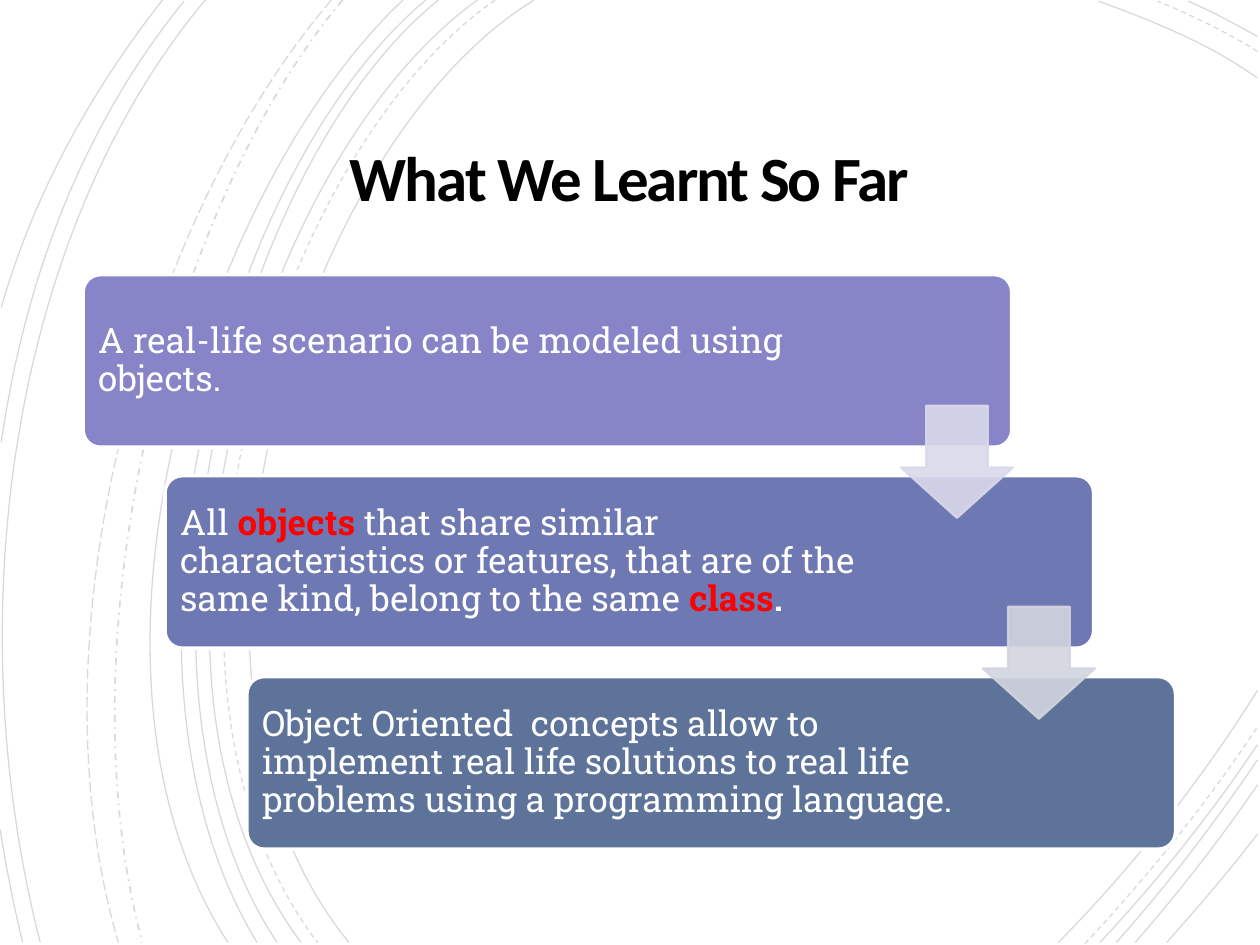
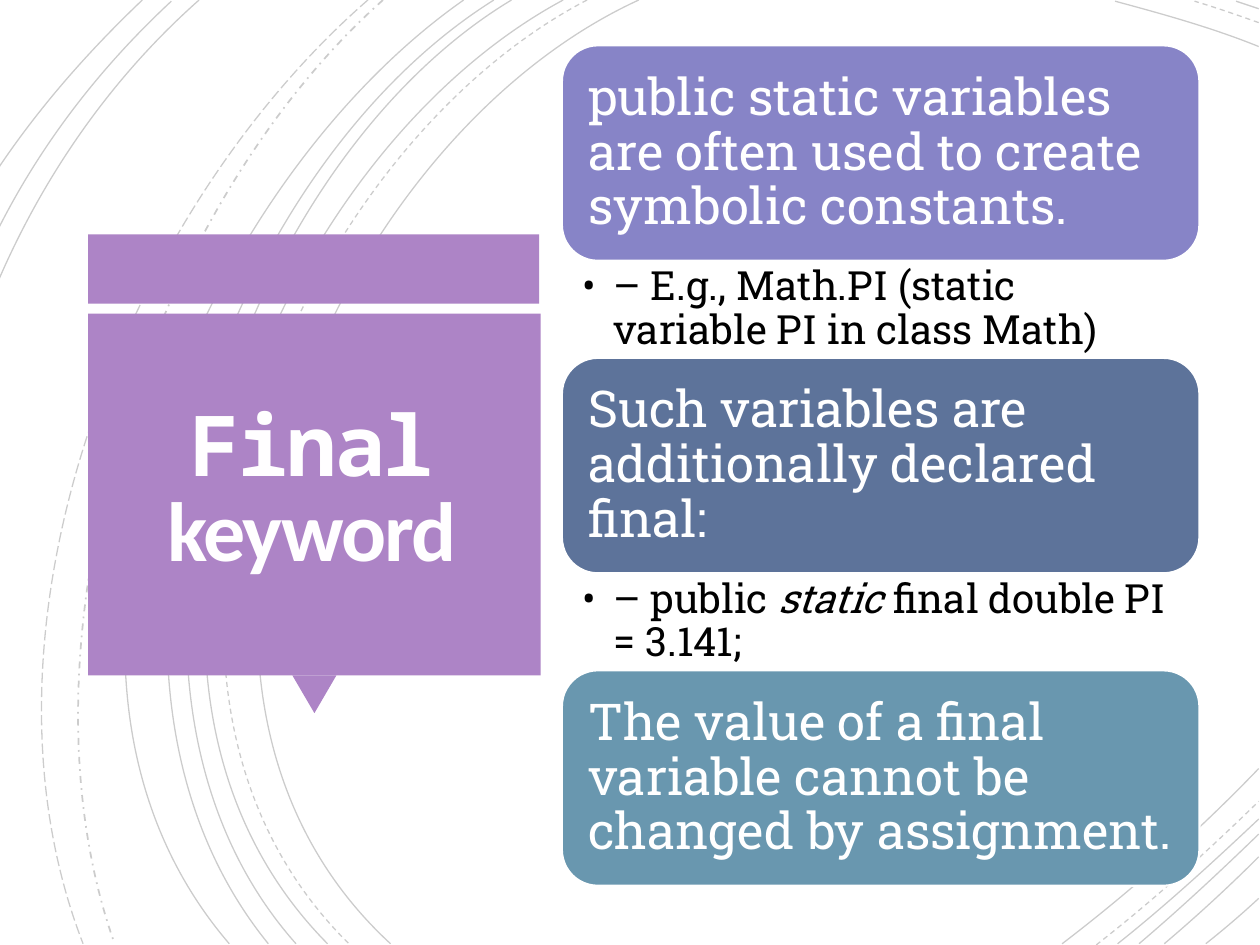
from pptx import Presentation
from pptx.dml.color import RGBColor
from pptx.enum.dml import MSO_LINE
from pptx.enum.shapes import MSO_SHAPE
from pptx.enum.text import MSO_ANCHOR, PP_ALIGN
from pptx.oxml.ns import qn
from pptx.util import Cm, Pt
from lxml.etree import SubElement

SLIDE_WIDTH, SLIDE_HEIGHT = 10, 7.5
WHITE, BLACK, RED = "FFFFFF", "000000", "FF0000"
VIOLET, INDIGO, SLATE, TEAL, PURPLE = "8784C7", "6E79B3", "5D739A", "6997AF", "AD84C6"
HEADING_FONT, BODY_FONT, CODE_FONT = "Calibri", "Roboto Slab", "Noto Sans Mono"
HEADING = dict(font=HEADING_FONT, bold=True, tracking=-1.1, spacing=0.85,
               align=PP_ALIGN.CENTER, anchor=MSO_ANCHOR.MIDDLE, insets=(0.25,) * 4)

SOLID, DASH = MSO_LINE.SOLID, MSO_LINE.DASH
DASH_DOT, LONG_DASH = MSO_LINE.DASH_DOT, MSO_LINE.LONG_DASH

BACKGROUND_ARCS = {
    (SOLID, 0.75): [
        (5.07, 0, 2.56, 1.15, 0.83, 5.4, 3.1, 7.49),
        (9.99, 0.37, 9.62, 0.22, 9.22, 0.11, 8.85, 0.01),
        (8.43, 7.49, 8.98, 7.07, 9.51, 6.6, 9.99, 6.1),
        (4.47, 0, 2.11, 1.27, 0.5, 5.37, 2.6, 7.49),
        (9.99, 0.07, 9.93, 0.05, 9.87, 0.03, 9.81, 0.01),
        (8.87, 7.49, 9.26, 7.18, 9.63, 6.84, 9.99, 6.5),
        (4.06, 0, 1.85, 1.33, 0.5, 5.41, 2.35, 7.49),
        (9.04, 7.49, 9.37, 7.21, 9.68, 6.92, 9.99, 6.62),
        (3.92, 0, 1.72, 1.38, 0.38, 5.34, 2.13, 7.49),
        (9.24, 7.49, 9.5, 7.27, 9.75, 7.04, 9.99, 6.8),
        (3.68, 0, 1.58, 1.47, -0.07, 5.29, 1.82, 7.49),
        (9.57, 7.49, 9.71, 7.38, 9.85, 7.26, 9.99, 7.13),
        (1.58, 0, 0.88, 0.62, 0.35, 1.39, -0.01, 2.22),
        (1.36, 0.01, 0.79, 0.54, 0.33, 1.14, -0.01, 1.81),
        (1.13, 0, 0.71, 0.4, 0.32, 0.84, -0.01, 1.33),
    ],
    (DASH, 0.75): [
        (4.66, 0, 2.26, 1.25, 0.63, 5.38, 2.77, 7.49),
        (9.99, 0.18, 9.82, 0.12, 9.65, 0.06, 9.48, 0.01),
        (8.7, 7.5, 9.15, 7.15, 9.58, 6.76, 9.99, 6.36),
    ],
    (DASH_DOT, 1): [(3.04, 0, 1.17, 1.66, 0.06, 5.09, 0.91, 7.49)],
    (LONG_DASH, 0.75): [(2.92, 0, 0.98, 1.69, -0.31, 4.99, 0.66, 7.49)],
}

SUMMARY_ARCS = {
    (SOLID, 0.75): [
        (4.24, 0, 2.36, 1.15, 1.07, 5.4, 2.77, 7.48),
        (9.98, 0.62, 9.59, 0.34, 9.13, 0.16, 8.72, 0.01),
        (8.4, 7.48, 8.97, 6.9, 9.52, 6.22, 9.98, 5.48),
        (3.79, 0, 2.02, 1.27, 0.82, 5.37, 2.39, 7.48),
        (9.98, 0.29, 9.8, 0.19, 9.62, 0.09, 9.43, 0.01),
        (8.73, 7.48, 9.17, 7.01, 9.6, 6.48, 9.98, 5.91),
        (3.48, 0, 1.83, 1.33, 0.82, 5.41, 2.2, 7.48),
        (8.86, 7.48, 9.25, 7.04, 9.63, 6.55, 9.98, 6.03),
        (3.38, 0, 1.73, 1.38, 0.73, 5.33, 2.04, 7.48),
        (9.01, 7.48, 9.35, 7.09, 9.68, 6.67, 9.98, 6.23),
        (3.2, 0, 1.63, 1.47, 0.4, 5.29, 1.81, 7.48),
        (9.26, 7.48, 9.5, 7.21, 9.75, 6.92, 9.98, 6.62),
        (1.63, 0, 0.08, 1.85, -0.34, 4.9, 0.32, 7.48),
        (1.46, 0.01, 0.69, 0.96, 0.21, 2.14, 0.01, 3.51),
        (0, 6.58, 0.05, 6.89, 0.11, 7.19, 0.18, 7.48),
        (1.29, 0, 0.75, 0.69, 0.28, 1.5, 0.01, 2.44),
    ],
    (DASH, 0.75): [
        (3.93, 0, 2.13, 1.25, 0.92, 5.37, 2.52, 7.48),
        (9.98, 0.41, 9.73, 0.25, 9.45, 0.12, 9.19, 0.01),
        (8.61, 7.49, 9.09, 6.98, 9.56, 6.4, 9.98, 5.77),
    ],
    (DASH_DOT, 1): [(2.72, 0, 1.32, 1.66, 0.49, 5.09, 1.13, 7.48)],
    (LONG_DASH, 0.75): [(2.63, 0, 1.18, 1.69, 0.21, 4.99, 0.94, 7.48)],
}

KEY_TERM = dict(color=RED, bold=True)
LESSONS = [
    (VIOLET, 5.9, [("A real-life scenario can be modeled using objects.", {})]),
    (INDIGO, 5.75, [
        ("All ", {}), ("objects", KEY_TERM),
        (" that share similar characteristics or features, that are of the same kind, "
         "belong to the same ", {}),
        ("class", KEY_TERM), (".", dict(bold=True))]),
    (SLATE, 5.75, [("Object Oriented  concepts allow to implement real life solutions "
                    "to real life problems using a programming language.", {})]),
]
ARROW_COLORS = ["D9D9EB", "D2D5DE"]

FINAL_FACTS = [
    (VIOLET, "public static variables are often used to create symbolic constants.",
     [("– E.g., Math.PI (static variable PI in class Math)", {})]),
    (SLATE, "Such variables are additionally declared final:",
     [("– public ", {}), ("static ", dict(italic=True)), ("final double PI = 3.141;", {})]),
    (TEAL, "The value of a final variable cannot be changed by assignment.", None),
]


def length(inches):
    return Cm(inches * 2.54)


def rgb(color):
    return RGBColor.from_string(color)


def set_opacity(shape, percent):
    for color in shape.element.spPr.iter(qn("a:srgbClr")):
        SubElement(color, qn("a:alpha")).set("val", str(percent * 1000))


def set_line(shape, color, width):
    shape.line.color.rgb = rgb(color)
    shape.line.width = Pt(width)


def add_box(slide, kind, box, color, outline=None, outline_width=1.25):
    shape = slide.shapes.add_shape(kind, *map(length, box))
    shape.shadow.inherit = False
    shape.fill.solid()
    shape.fill.fore_color.rgb = rgb(color)
    if outline:
        set_line(shape, outline, outline_width)
    else:
        shape.line.fill.background()
    return shape


def add_text(slide, box, runs, size=20, font=BODY_FONT, color=WHITE, bold=False, tracking=0,
             spacing=0.9, align=PP_ALIGN.LEFT, anchor=MSO_ANCHOR.MIDDLE,
             insets=(0.08,) * 4, bullet=None):
    frame = slide.shapes.add_textbox(*map(length, box)).text_frame
    frame.word_wrap = True
    frame.vertical_anchor = anchor
    frame.margin_left, frame.margin_top, frame.margin_right, frame.margin_bottom = map(
        length, insets)
    paragraph = frame.paragraphs[0]
    paragraph.alignment = align
    paragraph.line_spacing = spacing
    if bullet:
        properties = paragraph._p.get_or_add_pPr()
        properties.set("marL", str(length(0.25)))
        properties.set("indent", str(length(-0.25)))
        SubElement(properties, qn("a:buFont")).set("typeface", font)
        SubElement(properties, qn("a:buChar")).set("char", bullet)
    for text, changes in runs:
        run = paragraph.add_run()
        run.text = text
        run.font.size = Pt(size)
        run.font.name = changes.get("font", font)
        run.font.color.rgb = rgb(changes.get("color", color))
        run.font.bold = changes.get("bold", bold)
        run.font.italic = changes.get("italic", False)
        if tracking:
            run.font._element.set("spc", str(round(tracking * 100)))


def add_curve(slide, coordinates):
    values = list(map(length, coordinates))
    start, *controls = zip(values[::2], values[1::2])
    builder = slide.shapes.build_freeform(*start, scale=1.0)
    builder.add_line_segments(controls, close=False)
    shape = builder.convert_to_shape()
    segments = list(shape.element.spPr.iter(qn("a:lnTo")))
    outline = segments[0].getparent()
    bezier = SubElement(outline, qn("a:cubicBezTo"))
    for segment in segments:
        bezier.append(segment[0])
        outline.remove(segment)
    return shape


def add_arcs(slide, arcs, opacity):
    for (dash, width), curves in arcs.items():
        for curve in curves:
            arc = add_curve(slide, curve)
            arc.shadow.inherit = False
            arc.fill.background()
            set_line(arc, BLACK, width)
            arc.line.dash_style = dash
            set_opacity(arc, opacity)


def add_slide(presentation):
    slide = presentation.slides.add_slide(presentation.slide_layouts[6])
    slide.background.fill.solid()
    slide.background.fill.fore_color.rgb = rgb(WHITE)
    add_arcs(slide, BACKGROUND_ARCS, 20)
    return slide


def build_summary(presentation):
    slide = add_slide(presentation)
    add_box(slide, MSO_SHAPE.RECTANGLE, (0, 0, SLIDE_WIDTH, SLIDE_HEIGHT), WHITE)
    add_arcs(slide, SUMMARY_ARCS, 15)
    add_text(slide, (1.44, 0.87, 7.11, 1.15), [("What We Learnt So Far", {})],
             size=36, color=BLACK, **HEADING)
    first_left, first_top, last_top = 0.66, 2.18, 5.37
    height, padding, step_right = 1.37, 0.04, 0.65
    step_down = (last_top - first_top) / (len(LESSONS) - 1)
    for index, (color, text_width, runs) in enumerate(LESSONS):
        left, top = first_left + index * step_right, first_top + index * step_down
        card = add_box(slide, MSO_SHAPE.ROUNDED_RECTANGLE, (left, top, 7.37, height),
                       color, WHITE, 2)
        card.adjustments[0] = 0.1
        add_text(slide, (left + padding, top + padding, text_width, height - 2 * padding), runs)
    for index, color in enumerate(ARROW_COLORS):
        box = (7.15 + index * step_right, 3.22 + index * step_down, 0.89, 0.89)
        arrow = add_box(slide, MSO_SHAPE.DOWN_ARROW, box, color, color)
        arrow.adjustments[0], arrow.adjustments[1] = 0.55, 0.45
        set_opacity(arrow, 90)


def build_final_keyword(presentation):
    slide = add_slide(presentation)
    add_box(slide, MSO_SHAPE.RECTANGLE, (0.7, 1.86, 3.58, 0.55), PURPLE)
    pointer = add_box(slide, MSO_SHAPE.ISOSCELES_TRIANGLE, (2.32, 5.36, 0.35, 0.3), PURPLE)
    pointer.rotation = 180
    add_box(slide, MSO_SHAPE.RECTANGLE, (0.7, 2.49, 3.59, 2.87), PURPLE)
    add_text(slide, (1.04, 2.57, 2.87, 2.69),
             [("Final", dict(font=CODE_FONT)), (" keyword", {})],
             size=48, color="FFFEFF", **HEADING)
    left, top, width, card_height, note_height = 4.46, 0.36, 5.06, 1.71, 0.77
    for color, statement, note in FINAL_FACTS:
        add_box(slide, MSO_SHAPE.ROUNDED_RECTANGLE, (left, top, width, card_height), color, WHITE)
        add_text(slide, (left + 0.09, top + 0.09, 4.89, 1.54), [(statement, {})],
                 size=29, insets=(0.12,) * 4)
        top += card_height
        if note:
            add_text(slide, (left, top, width, note_height), note, size=23, color=BLACK,
                     anchor=MSO_ANCHOR.TOP, insets=(0.16, 0.04, 0.23, 0.04), bullet="•")
            top += note_height


presentation = Presentation()
presentation.slide_width = length(SLIDE_WIDTH)
presentation.slide_height = length(SLIDE_HEIGHT)
build_summary(presentation)
build_final_keyword(presentation)
presentation.save("out.pptx")
